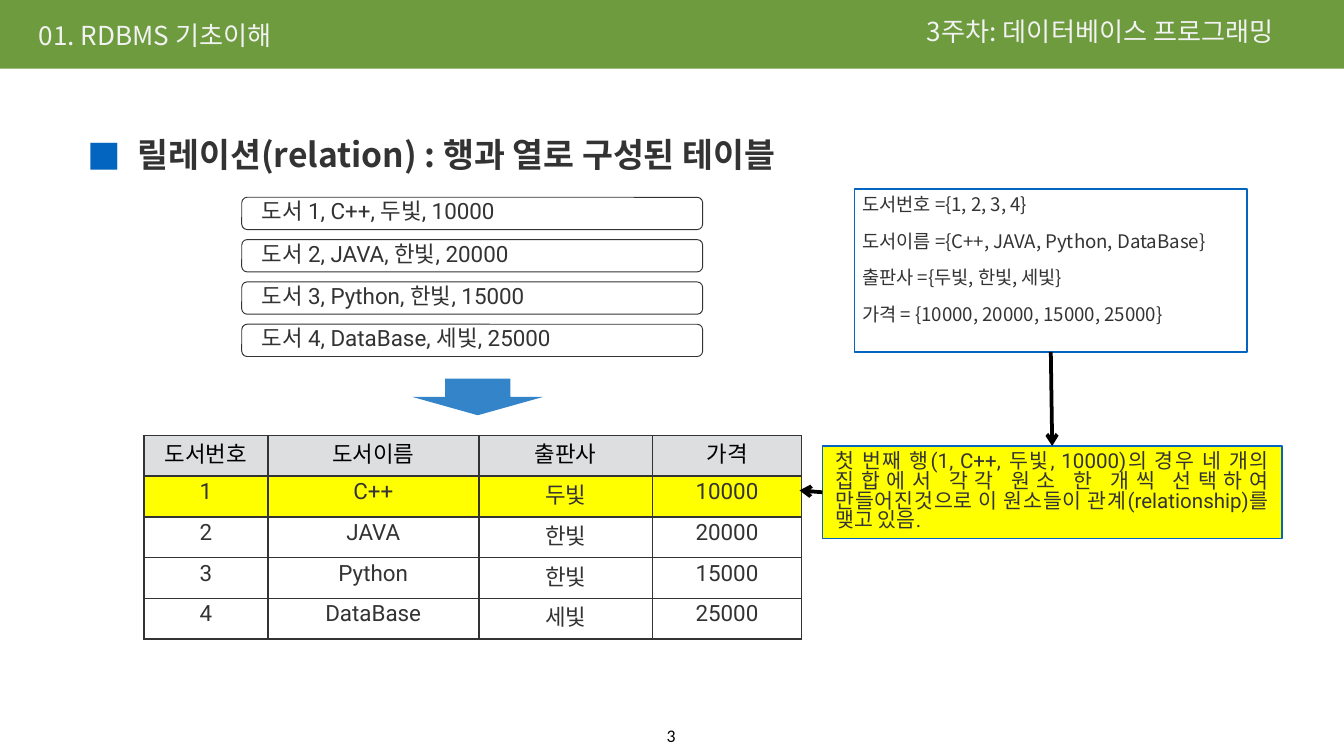
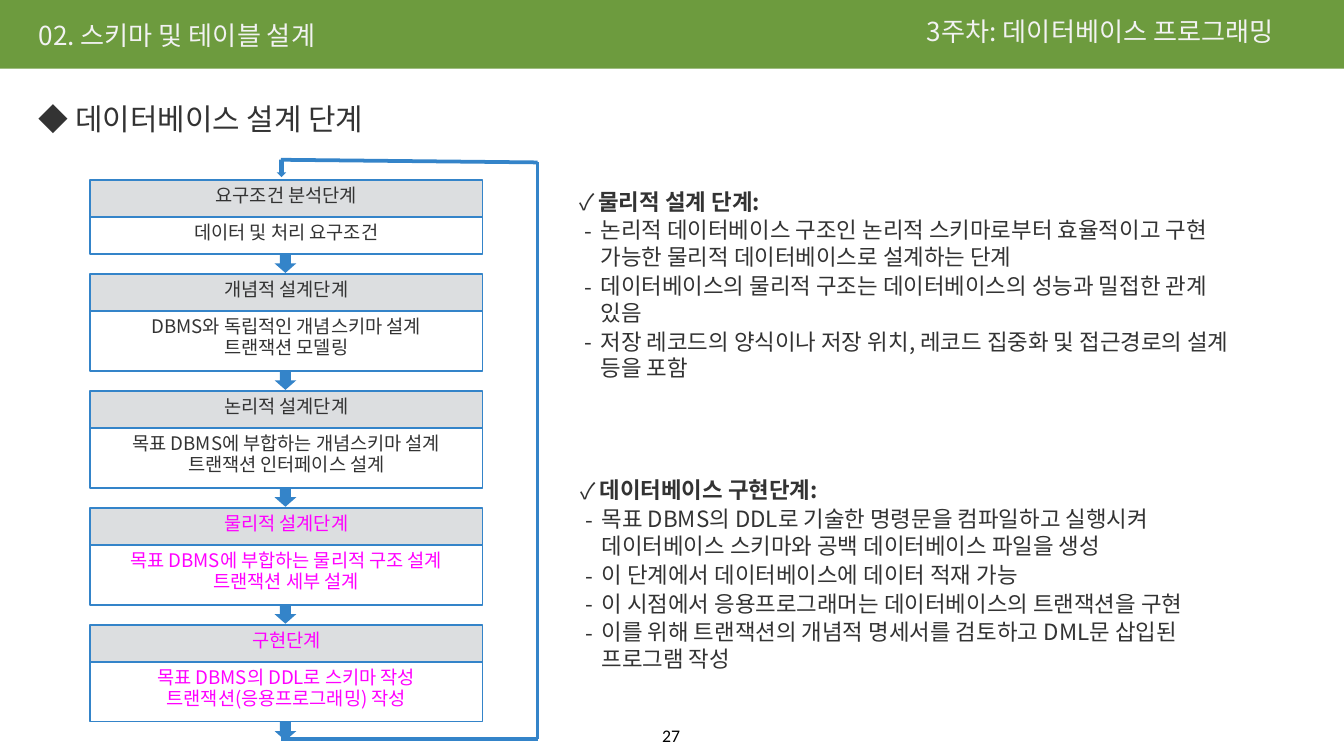
from lxml import etree
from pptx import Presentation
from pptx.dml.color import RGBColor
from pptx.enum import shapes, text
from pptx.oxml import ns
from pptx.util import Cm, Pt

GREEN = RGBColor(0x6D, 0x9B, 0x3E)
OFF_WHITE = RGBColor(0xF2, 0xF2, 0xF2)
WHITE = RGBColor(0xFF, 0xFF, 0xFF)
BLACK = RGBColor(0, 0, 0)
DARK = RGBColor(0x33, 0x33, 0x33)
GREY = RGBColor(0xDC, 0xDE, 0xE0)
BLUE = RGBColor(0x34, 0x84, 0xC9)
DEEP_BLUE = RGBColor(0x03, 0x65, 0xC0)
YELLOW = RGBColor(0xFF, 0xFF, 0)
MAGENTA = RGBColor(0xFF, 0, 0xFF)

KOREAN = "Noto Sans CJK KR"
ROBOTO = "Roboto"
SHAPE = shapes.MSO_SHAPE
ALIGN = text.PP_ALIGN
MIDDLE = text.MSO_ANCHOR.MIDDLE
TIGHT = (0.15, 0.15, 0.15, 0.15)
ROOMY = (0.25, 0.13, 0.25, 0.13)


def add_xml(parent, tag, **attributes):
    return etree.SubElement(parent, ns.qn(tag), attributes)


class Slides:
    """Holds the deck, its style and the page being drawn."""

    def __init__(self):
        self.deck = Presentation()
        self.deck.slide_width, self.deck.slide_height = Cm(25.4), Cm(14.29)
        self.layout = self.deck.slide_layouts[5]
        self.page = None

    def start(self, title, number):
        first = self.page is None
        self.page = self.deck.slides.add_slide(self.layout)
        if first:
            band = self.shape(SHAPE.RECTANGLE, (0, 0, 25.4, 1.3), GREEN)
            self.layout.shapes._spTree.append(band._element)
        box = self.page.shapes.title
        self.place(box, (0.58, 0.33, 7.87, 0.79))
        header = dict(size=14, color=OFF_WHITE, spacing=0.8)
        self.fill_box(box, [title], **header)
        self.text((17.37, 0.25, 7.87, 0.79), ["3주차: 데이터베이스 프로그래밍"],
                  anchor=MIDDLE, **header)
        self.text((12.34, 13.56, 0.69, 0.69), [number], size=9.5,
                  font="Calibri", color=BLACK, align=ALIGN.CENTER, wrap=False)

    def place(self, box, area):
        for name, value in zip(("left", "top", "width", "height"), area):
            setattr(box, name, Cm(value))

    def fill_box(self, box, lines, insets=TIGHT, anchor=text.MSO_ANCHOR.TOP,
                 wrap=True, **style):
        frame = box.text_frame
        settings = dict(zip(("margin_left", "margin_top", "margin_right",
                             "margin_bottom"), map(Cm, insets)))
        settings.update(word_wrap=wrap, vertical_anchor=anchor,
                        auto_size=text.MSO_AUTO_SIZE.NONE)
        for name, value in settings.items():
            setattr(frame, name, value)
        for index, line in enumerate(lines):
            para = frame.add_paragraph() if index else frame.paragraphs[0]
            self.fill_paragraph(para, line, first=not index, **style)

    def fill_paragraph(self, para, line, first=True, size=10, font=KOREAN,
                       color=DARK, bold=False, align=ALIGN.LEFT, spacing=1.0,
                       before=0, bullet=None, bullet_color=None, indent=0,
                       hang=0):
        """Fill one paragraph; a newline in the text becomes a line break."""
        settings = dict(alignment=align, line_spacing=spacing,
                        space_before=Pt(0 if first else before))
        for name, value in settings.items():
            setattr(para, name, value)
        if bullet:
            properties = para._p.get_or_add_pPr()
            properties.set("marL", str(Cm(indent)))
            properties.set("indent", str(-Cm(hang)))
            if bullet_color:
                fill = add_xml(properties, "a:buClr")
                add_xml(fill, "a:srgbClr", val=str(bullet_color))
            add_xml(properties, "a:buFont", typeface=KOREAN)
            add_xml(properties, "a:buChar", char=bullet)
        for index, part in enumerate(line.split("\n")):
            if index:
                para.add_line_break()
            span = para.add_run()
            span.text = part
            for name, value in dict(size=Pt(size), name=font, bold=bold).items():
                setattr(span.font, name, value)
            span.font.color.rgb = color
            add_xml(span._r.get_or_add_rPr(), "a:ea", typeface=KOREAN)

    def text(self, area, lines, **style):
        box = self.page.shapes.add_textbox(*map(Cm, area))
        self.fill_box(box, lines, **style)
        return box

    def shape(self, kind, area, fill=None, line=None, weight=1, lines=(),
              **style):
        box = self.page.shapes.add_shape(kind, *map(Cm, area))
        box.shadow.inherit = False
        if fill is None:
            box.fill.background()
        else:
            box.fill.solid()
            box.fill.fore_color.rgb = fill
        if line is None:
            box.line.fill.background()
        else:
            box.line.color.rgb = line
            box.line.width = Pt(weight)
        if lines:
            self.fill_box(box, lines, **style)
        return box

    def connector(self, start, end, color, arrow=False):
        line = self.page.shapes.add_connector(
            shapes.MSO_CONNECTOR.STRAIGHT, *map(Cm, start + end))
        line.line.color.rgb = color
        line.line.width = Pt(2)
        properties = line._element.spPr
        if arrow:
            add_xml(properties.get_or_add_ln(), "a:tailEnd", type="arrow")
        add_xml(properties, "a:effectLst")
        return line

    def table(self, left, top, widths, row_height, rows, fills):
        frame = self.page.shapes.add_table(
            len(rows), len(widths), Cm(left), Cm(top),
            Cm(sum(widths)), Cm(row_height * len(rows)))
        grid = frame.table
        grid.first_row = grid.horz_banding = False
        for column, width in zip(grid.columns, widths):
            column.width = Cm(width)
        for index, (row, values) in enumerate(zip(grid.rows, rows)):
            row.height = Cm(row_height)
            for cell, value in zip(row.cells, values):
                self.fill_paragraph(
                    cell.text_frame.paragraphs[0], value, size=12,
                    font=ROBOTO, color=DARK if index else BLACK,
                    align=ALIGN.CENTER, spacing=0.8)
                self.border(cell)
                cell.fill.solid()
                cell.fill.fore_color.rgb = fills[index]

    def border(self, cell):
        properties = cell._tc.get_or_add_tcPr()
        for side in ("a:lnL", "a:lnR", "a:lnT", "a:lnB"):
            edge = add_xml(properties, side, w=str(Pt(1)))
            add_xml(add_xml(edge, "a:solidFill"), "a:srgbClr", val=str(DARK))

    def topic(self, area, heading, points):
        """A ticked bold heading with dashed points under it."""
        box = self.text(area, [heading], size=12, bold=True,
                        bullet="✓", indent=0.36, hang=0.36)
        for point in points:
            self.fill_paragraph(box.text_frame.add_paragraph(), point,
                                first=False, size=12, before=1,
                                bullet="-", indent=0.4, hang=0.3)


def relation_page(slides):
    slides.start("01. RDBMS 기초이해", "3")
    slides.text((1.4, 2.03, 15.34, 11.38),
                ["릴레이션(relation) : 행과 열로 구성된 테이블"],
                insets=ROOMY, size=18, bold=True, spacing=1.5, bullet="■",
                bullet_color=DEEP_BLUE, indent=0.95, hang=0.95)

    books = [("1", "C++", "두빛", "10000"), ("2", "JAVA", "한빛", "20000"),
             ("3", "Python", "한빛", "15000"),
             ("4", "DataBase", "세빛", "25000")]
    for index, book in enumerate(books):
        slides.shape(SHAPE.ROUNDED_RECTANGLE,
                     (4.57, 3.73 + 0.8 * index, 8.71, 0.61), WHITE, DARK, 0.5,
                     ["도서 " + ", ".join(book)], insets=(0.35, 0.13, 0.25, 0.13),
                     anchor=MIDDLE, size=12, font=ROBOTO, spacing=0.8)
    slides.table(2.72, 8.23, (2.34, 3.99, 3.28, 2.82), 0.77,
                 [("도서번호", "도서이름", "출판사", "가격")] + books,
                 [GREY, YELLOW, WHITE, WHITE, WHITE])
    slides.shape(SHAPE.DOWN_ARROW, (7.8, 7.16, 2.46, 0.69), BLUE)

    domains = slides.shape(
        SHAPE.RECTANGLE, (16.15, 3.58, 7.42, 3.07), None, DEEP_BLUE, 1,
        ["도서번호 ={1, 2, 3, 4}",
         "도서이름 ={C++, JAVA, Python, DataBase}",
         "출판사 ={두빛, 한빛, 세빛}",
         "가격 = {10000, 20000, 15000, 25000}"], spacing=0.8, before=10)
    note = slides.shape(
        SHAPE.RECTANGLE, (15.54, 8.43, 8.69, 1.75), YELLOW, DEEP_BLUE, 0.75,
        ["첫 번째 행(1, C++, 두빛, 10000)의 경우 네 개의 집합에서 각각 원소 "
         "한 개씩 선택하여 만들어진것으로 이 원소들이 관계(relationship)를 "
         "맺고 있음."],
        insets=ROOMY, size=11, font=ROBOTO, align=ALIGN.JUSTIFY, spacing=0.8)
    to_row = slides.connector((15.54, 9.3), (15.11, 9.27), BLACK, arrow=True)
    to_row.begin_connect(note, 1)
    to_note = slides.connector((19.86, 6.65), (19.88, 8.43), BLACK, arrow=True)
    to_note.begin_connect(domains, 2)
    to_note.end_connect(note, 0)


def design_page(slides):
    slides.start("02. 스키마 및 테이블 설계", "27")
    slides.text((0.58, 1.88, 14.25, 1.19), ["데이터베이스 설계 단계"], size=16,
                spacing=0.8, bullet="◆", indent=0.7, hang=0.7)

    stages = [
        ("요구조건 분석단계", ["데이터 및 처리 요구조건"], DARK),
        ("개념적 설계단계",
         ["DBMS와 독립적인 개념스키마 설계", "트랜잭션 모델링"], DARK),
        ("논리적 설계단계",
         ["목표 DBMS에 부합하는 개념스키마 설계", "트랜잭션 인터페이스 설계"],
         DARK),
        ("물리적 설계단계",
         ["목표 DBMS에 부합하는 물리적 구조 설계", "트랜잭션 세부 설계"],
         MAGENTA),
        ("구현단계",
         ["목표 DBMS의 DDL로 스키마 작성", "트랜잭션(응용프로그래밍) 작성"],
         MAGENTA)]
    top = 3.4
    for name, tasks, color in stages:
        style = dict(line=BLUE, color=color, align=ALIGN.CENTER,
                     spacing=0.8, before=2)
        height = 0.27 + 0.43 * len(tasks)
        slides.shape(SHAPE.RECTANGLE, (1.7, top, 7.42, 0.7), GREY,
                     lines=[name], **style)
        slides.shape(SHAPE.RECTANGLE, (1.7, top + 0.7, 7.42, height),
                     lines=tasks, **style)
        top += 0.7 + height
        slides.shape(SHAPE.DOWN_ARROW, (5.19, top, 0.41, 0.36), BLUE)
        top += 0.38

    slides.shape(SHAPE.DOWN_ARROW, (5.23, 3.02, 0.18, 0.33), BLUE)
    loop = [(5.31, 3.02), (10.16, 3.07), (10.16, 13.97), (5.31, 13.97)]
    for start, end in zip(loop, loop[1:]):
        slides.connector(start, end, BLUE)

    slides.topic((10.8, 3.4, 14.43, 4.09), "물리적 설계 단계:", [
        "논리적 데이터베이스 구조인 논리적 스키마로부터 효율적이고 구현\n"
        "가능한 물리적 데이터베이스로 설계하는 단계",
        "데이터베이스의 물리적 구조는 데이터베이스의 성능과 밀접한 관계\n있음",
        "저장 레코드의 양식이나 저장 위치, 레코드 집중화 및 접근경로의 설계\n"
        "등을 포함"])
    slides.topic((10.82, 8.86, 13.87, 4.11), "데이터베이스 구현단계:", [
        "목표 DBMS의 DDL로 기술한 명령문을 컴파일하고 실행시켜\n"
        "데이터베이스 스키마와 공백 데이터베이스 파일을 생성",
        "이 단계에서 데이터베이스에 데이터 적재 가능",
        "이 시점에서 응용프로그래머는 데이터베이스의 트랜잭션을 구현",
        "이를 위해 트랜잭션의 개념적 명세서를 검토하고 DML문 삽입된\n"
        "프로그램 작성"])


def main():
    slides = Slides()
    relation_page(slides)
    design_page(slides)
    slides.deck.save("out.pptx")


if __name__ == "__main__":
    main()
